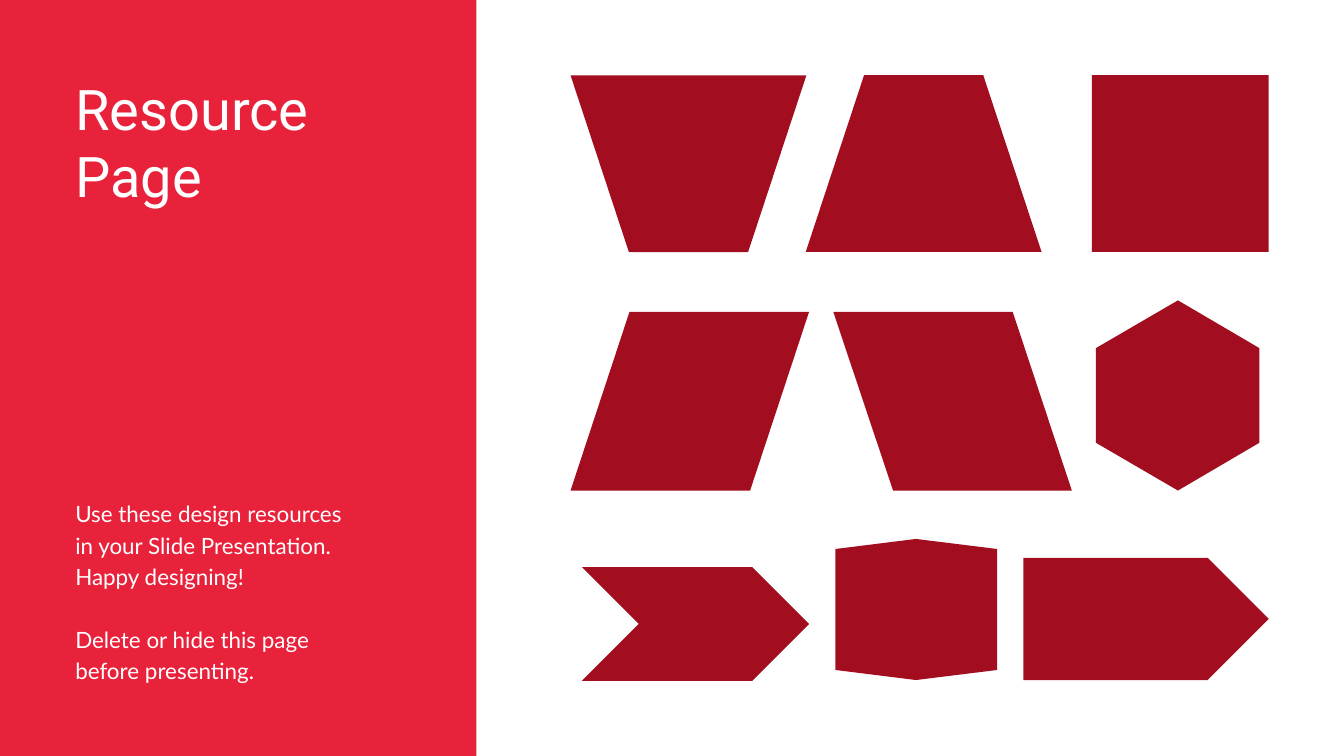
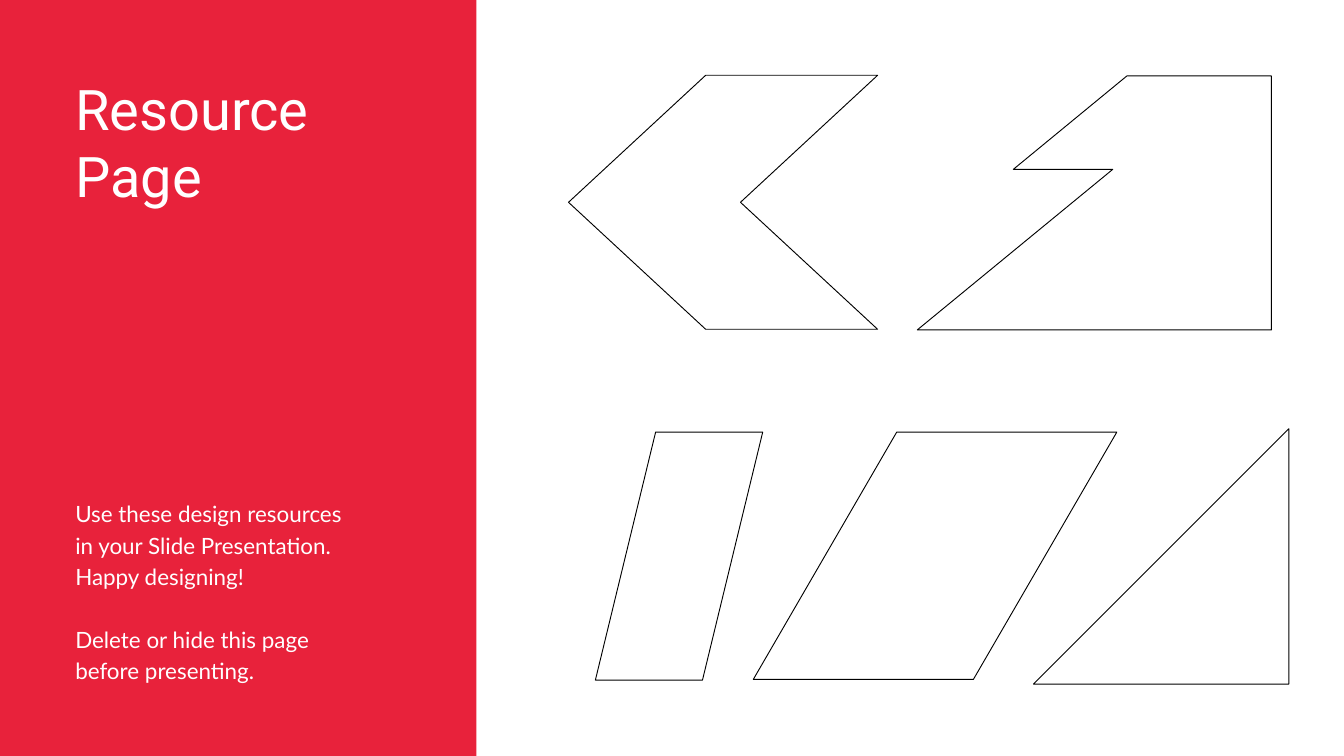
from pptx import Presentation
from pptx.dml.color import RGBColor
from pptx.enum.shapes import MSO_SHAPE
from pptx.util import Inches, Pt

RECTANGLE = MSO_SHAPE.RECTANGLE
TRAPEZOID = MSO_SHAPE.TRAPEZOID
PARALLELOGRAM = MSO_SHAPE.PARALLELOGRAM
CHEVRON = MSO_SHAPE.CHEVRON
PENTAGON = MSO_SHAPE.PENTAGON

RED = RGBColor(0xE8, 0x22, 0x3B)
DARK_RED = RGBColor(0xA2, 0x0E, 0x20)
WHITE = RGBColor(0xFF, 0xFF, 0xFF)
BLACK = RGBColor(0x00, 0x00, 0x00)

MARGIN = 1.12
TITLE = ["Resource", "Page"]
NOTE = [
    "Use these design resources",
    "in your Slide Presentation. Happy designing!",
    "Delete or hide this page",
    "before presenting.",
]
NOTE_LINE = 33.6
TEXT_BLOCKS = [
    (TITLE, 1.11, 5.07, 2.01, "Roboto", 60, 72),
    (NOTE, 7.38, 4.68, 2.75, "Lato", 24, NOTE_LINE),
]

SOLID_PRESETS = [
    (TRAPEZOID, 8.49, 1.12, 3.51, 2.63, 0.33, 180),
    (TRAPEZOID, 11.99, 1.12, 3.51, 2.63, 0.33, 0),
    (RECTANGLE, 16.25, 1.12, 2.63, 2.63, None, 0),
    (PARALLELOGRAM, 8.49, 4.64, 3.55, 2.66, 0.33, 0),
    (CHEVRON, 8.66, 8.44, 3.38, 1.69, 0.5, 0),
    (PENTAGON, 15.23, 8.3, 3.65, 1.82, 0.5, 0),
]
MIRRORED_PARALLELOGRAM = [(12.4, 4.64), (15.07, 4.64), (15.95, 7.3), (13.29, 7.3)]
HEXAGON = [(17.53, 4.47), (18.74, 5.18), (18.74, 6.59),
           (17.53, 7.3), (16.31, 6.59), (16.31, 5.18)]
BARREL = [(12.43, 8.17), (13.63, 8.02), (14.84, 8.17),
          (14.84, 9.97), (13.63, 10.12), (12.43, 9.97)]

OUTLINE_PRESETS = [
    (CHEVRON, 8.46, 1.12, 4.6, 3.78, 0.54, 180),
    (PARALLELOGRAM, 8.86, 6.43, 2.49, 3.69, 0.36, 0),
    (PARALLELOGRAM, 11.21, 6.43, 5.41, 3.68, 0.58, 0),
]
NOTCHED_CORNER = [(18.92, 4.91), (13.65, 4.91), (16.56, 2.52),
                  (15.08, 2.52), (16.77, 1.13), (18.92, 1.13)]
RIGHT_TRIANGLE = [(19.18, 6.38), (15.38, 10.18), (19.18, 10.18)]

PAGES = [
    (SOLID_PRESETS, [MIRRORED_PARALLELOGRAM, HEXAGON, BARREL], DARK_RED),
    (OUTLINE_PRESETS, [NOTCHED_CORNER, RIGHT_TRIANGLE], None),
]


def style_shape(shape, fill_color):
    shape.shadow.inherit = False
    if fill_color is None:
        shape.fill.background()
        shape.line.color.rgb = BLACK
        shape.line.width = Pt(1)
    else:
        shape.fill.solid()
        shape.fill.fore_color.rgb = fill_color
        shape.line.fill.background()


def add_text(slide, lines, top, width, height, font_name, size, line_spacing):
    box = slide.shapes.add_textbox(Inches(MARGIN), Inches(top), Inches(width), Inches(height))
    text_frame = box.text_frame
    text_frame.word_wrap = True
    text_frame.margin_left = text_frame.margin_right = 0
    text_frame.margin_top = text_frame.margin_bottom = 0
    text_frame.text = "\n".join(lines)
    for paragraph in text_frame.paragraphs:
        paragraph.line_spacing = Pt(line_spacing)
        font = paragraph.runs[0].font
        font.name = font_name
        font.size = Pt(size)
        font.color.rgb = WHITE
    return text_frame


presentation = Presentation()
presentation.slide_width = Inches(20)
presentation.slide_height = Inches(11.25)

for presets, outlines, fill_color in PAGES:
    slide = presentation.slides.add_slide(presentation.slide_layouts[6])

    panel = slide.shapes.add_shape(RECTANGLE, 0, 0, Inches(7.09), presentation.slide_height)
    style_shape(panel, RED)

    for preset, left, top, width, height, adjustment, rotation in presets:
        shape = slide.shapes.add_shape(
            preset, Inches(left), Inches(top), Inches(width), Inches(height))
        if adjustment is not None:
            shape.adjustments[0] = adjustment
        shape.rotation = rotation
        style_shape(shape, fill_color)

    for outline in outlines:
        points = [(Inches(x), Inches(y)) for x, y in outline]
        builder = slide.shapes.build_freeform(*points[0])
        builder.add_line_segments(points[1:], close=True)
        style_shape(builder.convert_to_shape(), fill_color)

    title_frame, note_frame = [add_text(slide, *block) for block in TEXT_BLOCKS]
    note_frame.paragraphs[2].space_before = Pt(NOTE_LINE)

presentation.save("out.pptx")
